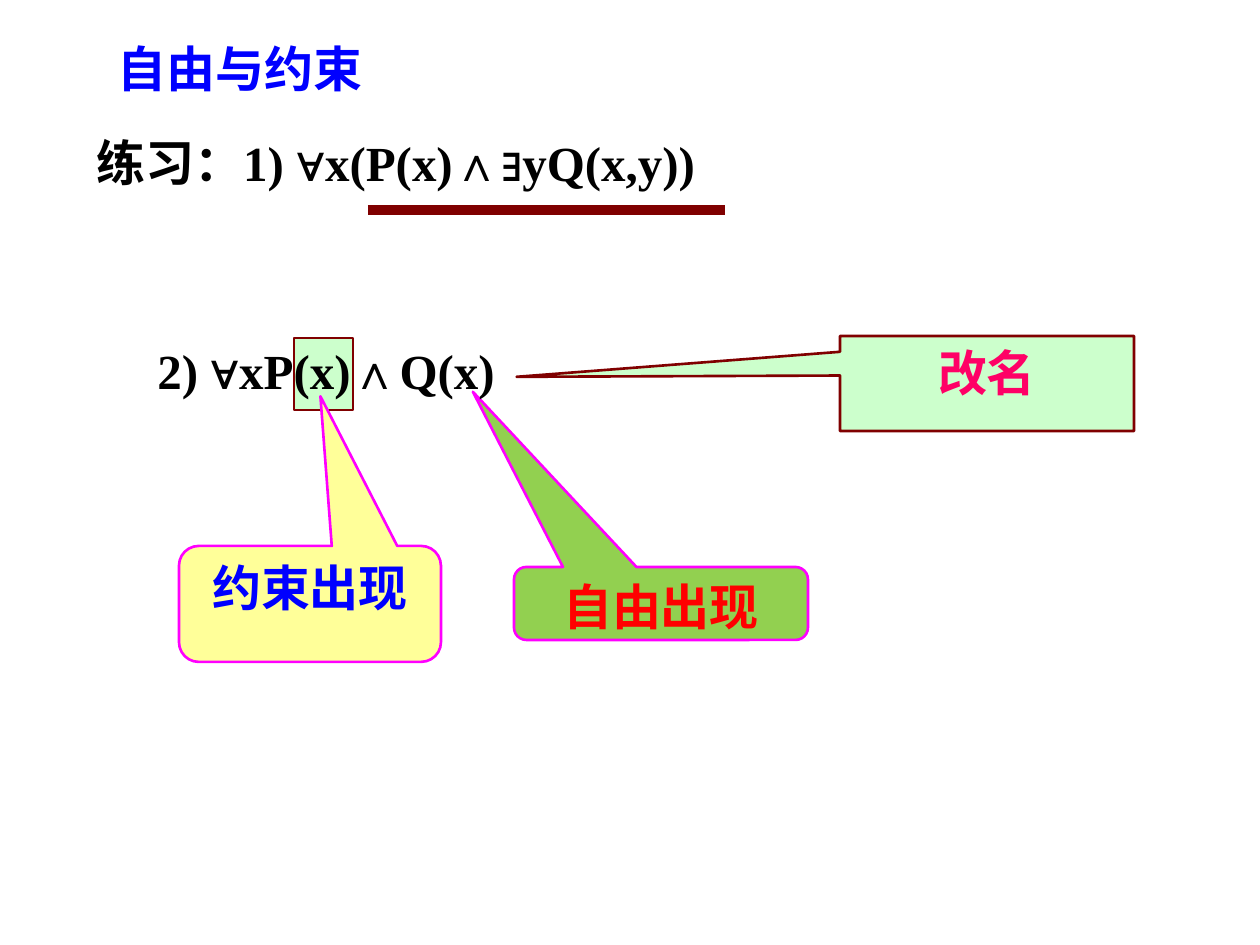
import pptx
import pptx.util
import pptx.dml.color
import pptx.enum.shapes
import pptx.enum.text
import pptx.oxml.ns
import lxml.etree

PX = 914400 // 126
COLORS = {
    "blue": "0000FF", "black": "000000", "red": "FF0000", "pink": "FF0066",
    "maroon": "800000", "magenta": "FF00FF", "mint": "CCFFCC",
    "yellow": "FFFF99", "green": "92D050",
}
SHAPE = pptx.enum.shapes.MSO_SHAPE


def rgb(name):
    return pptx.dml.color.RGBColor.from_string(COLORS[name])


def set_text(sp, text, color, align):
    tf = sp.text_frame
    tf.word_wrap = True
    tf.vertical_anchor = pptx.enum.text.MSO_ANCHOR.TOP
    tf.text = text
    p = tf.paragraphs[0]
    p.alignment = align
    r = p.runs[0]
    r.font.name = "Times New Roman"
    r.font.size = pptx.util.Pt(28)
    r.font.bold = True
    r.font.color.rgb = rgb(color)


prs = pptx.Presentation()
prs.slide_width = pptx.util.Inches(10)
prs.slide_height = pptx.util.Inches(7.5)
slide = prs.slides.add_slide(prs.slide_layouts[6])
shapes = slide.shapes

# Highlight behind the bound variable, then the callouts
boxes = [
    (SHAPE.RECTANGLE, (294, 338, 59, 72), [], "mint", "maroon", None, None),
    (SHAPE.ROUNDED_RECTANGULAR_CALLOUT, (179, 546, 262, 116),
     [0.04, -1.79, 0.17], "yellow", "magenta", "约束出现", "blue"),
    (SHAPE.ROUNDED_RECTANGULAR_CALLOUT, (514, 567, 294, 73),
     [-0.64, -2.9, 0.17], "green", "magenta", "自由出现", "red"),
    (SHAPE.RECTANGULAR_CALLOUT, (840, 336, 294, 95),
     [-1.6, -0.07], "mint", "maroon", "改名", "pink"),
]
for kind, box, adjustments, fill, line, text, color in boxes:
    sp = shapes.add_shape(kind, *[v * PX for v in box])
    sp.shadow.inherit = False
    for i, value in enumerate(adjustments):
        sp.adjustments[i] = value
    sp.fill.solid()
    sp.fill.fore_color.rgb = rgb(fill)
    sp.line.color.rgb = rgb(line)
    sp.line.width = pptx.util.Pt(1.5)
    if text:
        set_text(sp, text, color, pptx.enum.text.PP_ALIGN.CENTER)

# Title and the two formulas
texts = [
    ("自由与约束", (105, 32, 620, 72), "blue"),
    ("练习：1) ∀x(P(x)∧∃yQ(x,y))", (84, 126, 863, 72), "black"),
    ("2) ∀xP(x)∧Q(x)", (145, 334, 517, 72), "black"),
]
for text, box, color in texts:
    sp = shapes.add_textbox(*[v * PX for v in box])
    set_text(sp, text, color, pptx.enum.text.PP_ALIGN.LEFT)

# Underline marking the quantifier's scope
ln = shapes.add_connector(pptx.enum.shapes.MSO_CONNECTOR.STRAIGHT,
                          368 * PX, 210 * PX, 725 * PX, 210 * PX)
ln.line.color.rgb = rgb("maroon")
ln.line.width = pptx.util.Pt(6.25)
lxml.etree.SubElement(ln._element.spPr, pptx.oxml.ns.qn("a:effectLst"))

prs.save("out.pptx")
